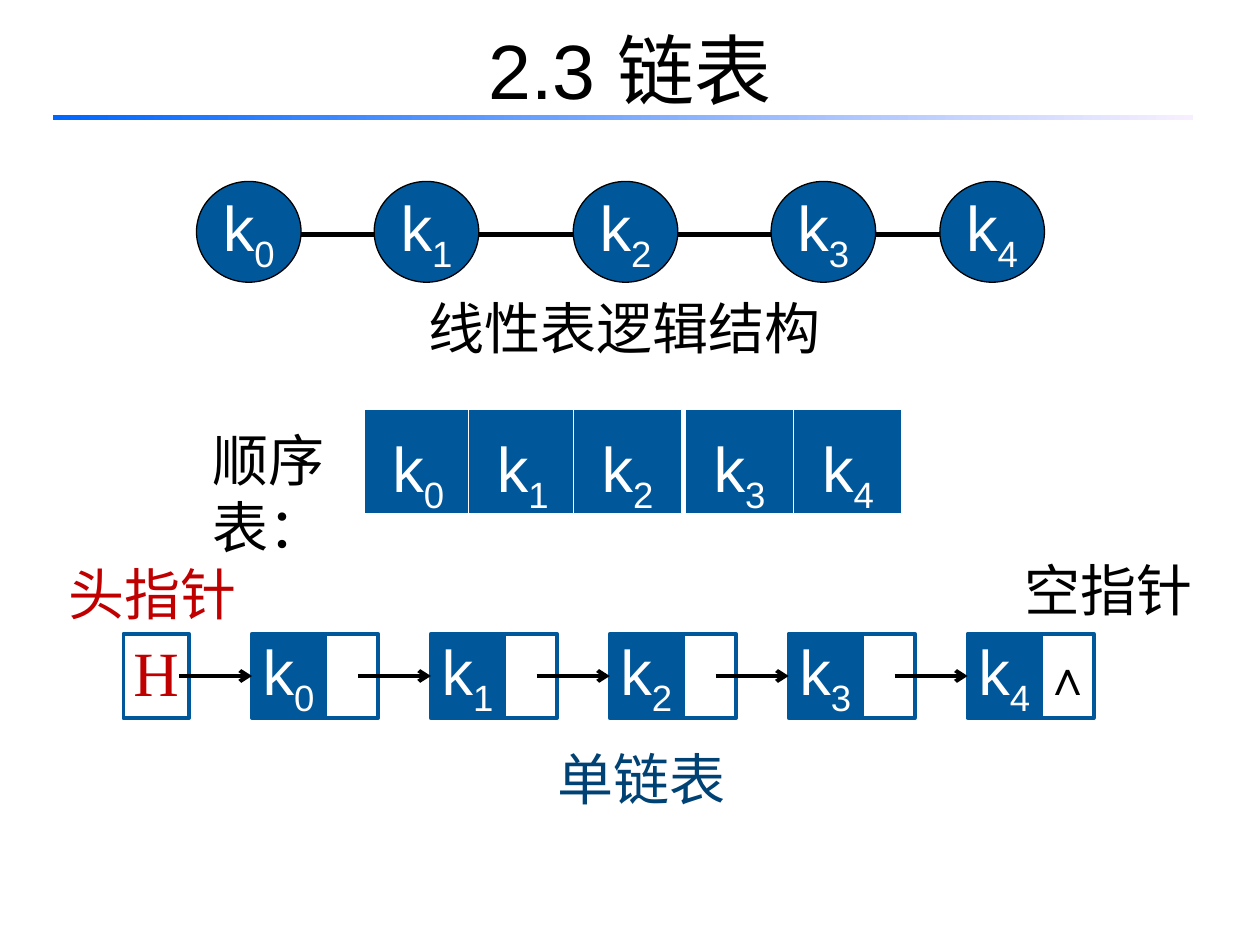
from lxml import etree
from pptx import Presentation
from pptx.dml.color import RGBColor
from pptx.enum.shapes import MSO_CONNECTOR, MSO_SHAPE
from pptx.enum.text import MSO_ANCHOR, PP_ALIGN
from pptx.oxml.ns import qn
from pptx.util import Inches, Pt

BLUE = RGBColor(0x00, 0x58, 0x9A)
NAVY = RGBColor(0x00, 0x42, 0x74)
RED = RGBColor(0xC0, 0x00, 0x00)
BLACK = RGBColor(0x00, 0x00, 0x00)
WHITE = RGBColor(0xFF, 0xFF, 0xFF)
RULE_START = RGBColor(0x00, 0x66, 0xFF)
RULE_END = RGBColor(0xF7, 0xEF, 0xFF)

RECTANGLE, OVAL = MSO_SHAPE.RECTANGLE, MSO_SHAPE.OVAL
STRAIGHT = MSO_CONNECTOR.STRAIGHT
LEFT, CENTER = PP_ALIGN.LEFT, PP_ALIGN.CENTER
TOP, MIDDLE = MSO_ANCHOR.TOP, MSO_ANCHOR.MIDDLE

LATIN, SERIF, CHINESE = "Arial", "Times New Roman", "Noto Sans CJK SC"

CIRCLE_LEFTS = (1.56, 2.97, 4.55, 6.12, 7.46)
CELL_LEFTS = (2.89, 3.72, 4.55, 5.44, 6.3)
NODE_COUNT = 5
NODE_LEFT, NODE_STEP = 2, 1.42
NODE_TOP, NODE_HEIGHT = 5.03, 0.67
DATA_WIDTH, POINTER_WIDTH, POINTER_OFFSET = 0.58, 0.52, 0.48
ARROW_LENGTH = 0.58


def write(box, text, subscript="", size=36, font=LATIN, color=WHITE, bold=False,
          align=CENTER, anchor=MIDDLE, wrap=False, spacing=None):
    frame = box.text_frame
    frame.word_wrap = wrap
    frame.vertical_anchor = anchor
    para = frame.paragraphs[0]
    para.alignment = align
    para.line_spacing = spacing
    for part, baseline in ((text, None), (subscript, "-25000")):
        if not part:
            continue
        span = para.add_run()
        span.text = part
        span.font.size = Pt(size)
        span.font.name = font
        span.font.bold = bold
        span.font.color.rgb = color
        if baseline:
            span._r.get_or_add_rPr().set("baseline", baseline)


def add_label(page, text, left, top, width, height=0.64, **text_format):
    box = page.shapes.add_textbox(
        Inches(left), Inches(top), Inches(width), Inches(height))
    write(box, text, **{"size": 32, "anchor": TOP, "wrap": True, **text_format})


def add_box(page, left, top, width, height, kind=RECTANGLE, fill=BLUE,
            line=BLUE, weight=2.25):
    box = page.shapes.add_shape(
        kind, Inches(left), Inches(top), Inches(width), Inches(height))
    box.shadow.inherit = False
    if fill is None:
        box.fill.background()
    else:
        box.fill.solid()
        box.fill.fore_color.rgb = fill
    box.line.color.rgb = line
    box.line.width = Pt(weight)
    return box


def add_line(page, start, end, y, weight):
    line = page.shapes.add_connector(
        STRAIGHT, Inches(start), Inches(y), Inches(end), Inches(y))
    line.line.color.rgb = BLACK
    line.line.width = Pt(weight)
    etree.SubElement(line._element.spPr, qn("a:effectLst"))
    return line


def add_arrow_to(page, target, left):
    arrow = add_line(page, left - ARROW_LENGTH, left,
                     NODE_TOP + NODE_HEIGHT / 2, 2.25)
    arrow.end_connect(target, 1)
    etree.SubElement(arrow.line._get_or_add_ln(), qn("a:tailEnd"), type="arrow")


def add_title(page):
    add_label(page, "2.3 链表", 0.5, -0.08, 9, 1.25,
              size=44, color=BLACK, anchor=MIDDLE)
    rule = add_box(page, 0.42, 0.91, 9.05, 0.04)
    rule.line.fill.background()
    rule.fill.gradient()
    rule.fill.gradient_angle = 0
    for stop, position, color in zip(
            rule.fill.gradient_stops, (0, 1), (RULE_START, RULE_END)):
        stop.position = position
        stop.color.rgb = color


def add_logical_structure(page):
    add_line(page, 1.79, 7.62, 1.86, 2.5)
    for index, left in enumerate(CIRCLE_LEFTS):
        circle = add_box(page, left, 1.44, 0.83, 0.8, kind=OVAL,
                         line=BLACK, weight=0.75)
        write(circle, "k", str(index))
    add_label(page, "线性表逻辑结构", 2.92, 2.28, 4.08, font=SERIF, color=BLACK)


def add_sequential_list(page):
    # Narrow enough to break after two characters, clear of the cells
    add_label(page, "顺序表：", 1.43, 3.33, 1.4, 1.17, font=SERIF, color=BLACK)
    for index, left in enumerate(CELL_LEFTS):
        cell = add_box(page, left, 3.25, 0.86, 0.83, line=WHITE, weight=0.75)
        write(cell, "k", str(index), spacing=1.25)


def add_linked_list(page):
    add_label(page, "头指针", 0.25, 4.39, 1.92, font=CHINESE, color=RED)
    add_label(page, "空指针", 7.67, 4.36, 2.25, font=CHINESE, color=BLACK)
    add_label(page, "单链表", 4.33, 5.86, 1.83, font=CHINESE, color=NAVY,
              align=LEFT)

    # Head pointer
    head = add_box(page, 0.98, NODE_TOP, POINTER_WIDTH, NODE_HEIGHT, fill=None)
    write(head, "H", font=SERIF, color=RED, spacing=0.9)

    # Nodes, each reached by an arrow from the one before
    for index in range(NODE_COUNT):
        left = NODE_LEFT + index * NODE_STEP
        pointer = add_box(page, left + POINTER_OFFSET, NODE_TOP,
                          POINTER_WIDTH, NODE_HEIGHT, fill=None)
        data = add_box(page, left, NODE_TOP, DATA_WIDTH, NODE_HEIGHT)
        write(data, "k", str(index))
        add_arrow_to(page, data, left)
    write(pointer, " ∧", size=28, color=BLACK, bold=True)


def main():
    deck = Presentation()
    deck.slide_width, deck.slide_height = Inches(10), Inches(7.5)
    page = deck.slides.add_slide(deck.slide_layouts[6])
    add_title(page)
    add_logical_structure(page)
    add_sequential_list(page)
    add_linked_list(page)
    deck.save("out.pptx")


if __name__ == "__main__":
    main()
